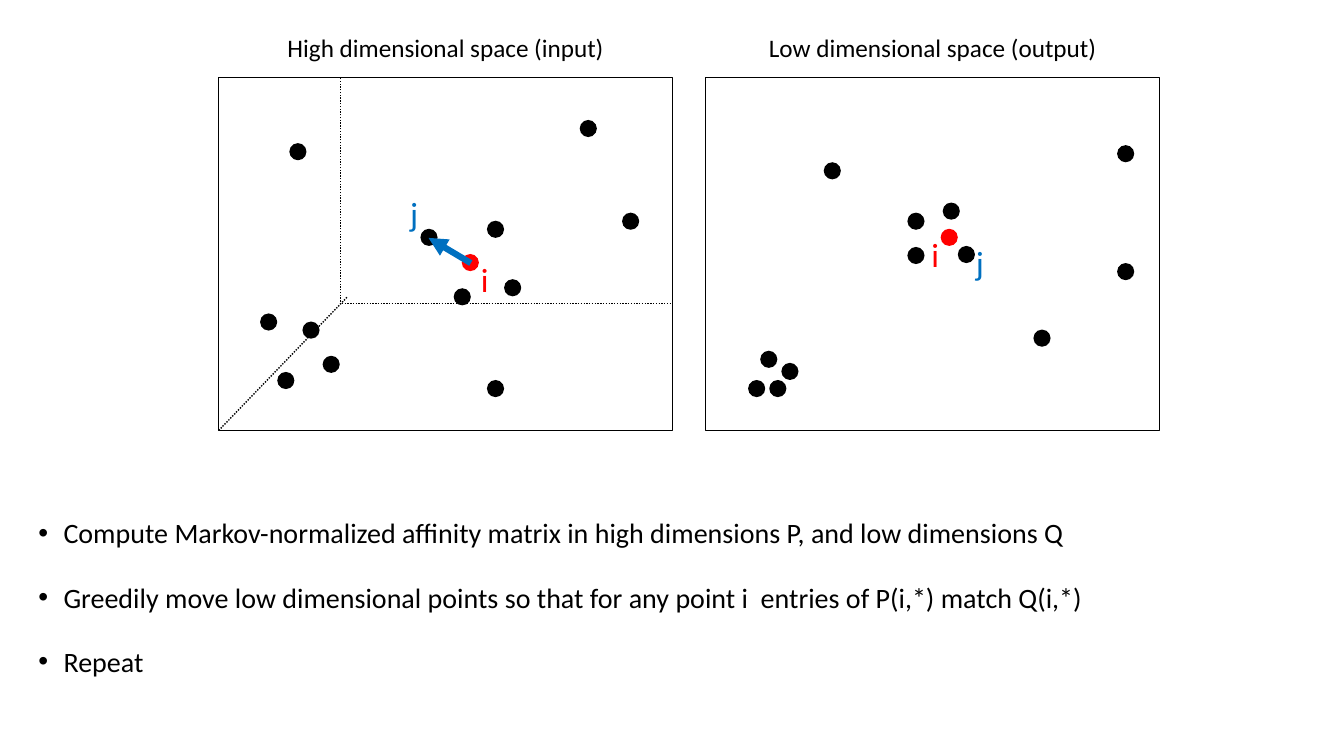
from lxml.etree import SubElement
from pptx import Presentation
from pptx.dml.color import RGBColor
from pptx.enum.dml import MSO_LINE_DASH_STYLE as Dash
from pptx.enum.shapes import MSO_CONNECTOR as Connector, MSO_SHAPE as Shape
from pptx.enum.text import MSO_ANCHOR as Anchor, MSO_AUTO_SIZE as AutoSize, PP_ALIGN as Align
from pptx.oxml.ns import qn
from pptx.util import Pt

PX = 9144  # 100 px to the inch
COLORS = {name: RGBColor.from_string(code) for name, code in {
    "black": "000000", "red": "FF0000", "blue": "0070C0"}.items()}
DOT = 17
PANEL_TOP, PANEL_WIDTH, PANEL_HEIGHT = 77, 450, 350


def add_label(shapes, text, left, top, width, height, color, size, wrap, align):
    box = shapes.add_textbox(left * PX, top * PX, width * PX, height * PX)
    box.text_frame.word_wrap = wrap
    box.text_frame.auto_size = AutoSize.SHAPE_TO_FIT_TEXT
    para = box.text_frame.paragraphs[0]
    para.alignment = align
    span = para.add_run()
    span.text = text
    for name, value in {"name": "Calibri", "size": Pt(size)}.items():
        setattr(span.font, name, value)
    span.font.color.rgb = COLORS[color]


def add_line(shapes, start, end, color, width):
    line = shapes.add_connector(Connector.STRAIGHT, *(v * PX for v in start + end))
    line.line.color.rgb = COLORS[color]
    line.line.width = Pt(width)
    SubElement(line._element.spPr, qn("a:effectLst"))
    return line


deck = Presentation()
deck.slide_width, deck.slide_height = 1333 * PX, 750 * PX
page = deck.slides.add_slide(deck.slide_layouts[1])
title, body = page.placeholders
title._element.getparent().remove(title._element)

# Panels: heading, left edge, black points, red point, point labels
panels = [
    ("High dimensional space (input)", 217,
     [(417, 227), (300, 319), (575, 119), (483, 377), (483, 219), (617, 211), (258, 311),
      (275, 369), (450, 286), (500, 277), (287, 142), (320, 353)],
     (458, 252), [("i", 467, 252, "red"), ("j", 397, 186, "blue")]),
    ("Low dimensional space (output)", 700,
     [(935, 201), (763, 377), (950, 244), (900, 211), (754, 348), (1108, 144), (1108, 261),
      (900, 245), (742, 377), (775, 360), (817, 161), (1025, 327)],
     (933, 227), [("i", 914, 227, "red"), ("j", 958, 235, "blue")]),
]
for heading, left, points, red_point, labels in panels:
    frame = page.shapes.add_shape(Shape.RECTANGLE, left * PX, PANEL_TOP * PX,
                                  PANEL_WIDTH * PX, PANEL_HEIGHT * PX)
    frame.shadow.inherit = False
    frame.fill.background()
    frame.line.color.rgb = COLORS["black"]
    frame.line.width = Pt(1)
    add_label(page.shapes, heading, left, 27, PANEL_WIDTH, 40, "black", 18, True, Align.CENTER)

    cloud = page.shapes.add_group_shape().shapes
    for x, y in points + [red_point]:
        dot = cloud.add_shape(Shape.OVAL, x * PX, y * PX, DOT * PX, DOT * PX)
        dot.shadow.inherit = False
        dot.fill.solid()
        dot.fill.fore_color.rgb = COLORS["red" if (x, y) == red_point else "black"]
        dot.line.fill.background()
    for letter, x, y, color in labels:
        add_label(cloud, letter, x, y, 28, 50, color, 24, False, Align.LEFT)

# Arrow from point i to point j
arrow = add_line(page.shapes, (467, 261), (425, 236), "blue", 4.5)
SubElement(arrow.line._get_or_add_ln(), qn("a:tailEnd"), type="triangle")

# Dotted axes of the high dimensional space
for start, end in [((217, 427), (345, 294)), ((338, 302), (338, 77)), ((339, 301), (667, 301))]:
    axis = add_line(page.shapes, start, end, "black", 1)
    axis.line.dash_style = Dash.ROUND_DOT

# Algorithm steps
for name, value in {"left": 28, "top": 490, "width": 1254, "height": 93}.items():
    setattr(body, name, value * PX)
for name, value in {"word_wrap": True, "auto_size": AutoSize.NONE,
                    "vertical_anchor": Anchor.TOP}.items():
    setattr(body.text_frame, name, value)
steps = [
    "Compute Markov-normalized affinity matrix in high dimensions P, and low dimensions Q",
    "Greedily move low dimensional points so that for any point i  entries of P(i,*) match Q(i,*)",
    "Repeat",
]
body.text_frame.text = "\n".join(steps)
for number, para in enumerate(body.text_frame.paragraphs):
    for name, value in {"alignment": Align.LEFT, "line_spacing": 1.5,
                        "space_before": Pt(10 if number else 0)}.items():
        setattr(para, name, value)
    props = para._p.get_or_add_pPr()
    props.set("marL", str(25 * PX))
    props.set("indent", str(-25 * PX))
    SubElement(props, qn("a:buFont"), typeface="Arial")
    SubElement(props, qn("a:buChar"), char="•")
    for span in para.runs:
        for name, value in {"name": "Calibri", "size": Pt(20)}.items():
            setattr(span.font, name, value)
        span.font.color.rgb = COLORS["black"]

deck.save("out.pptx")
